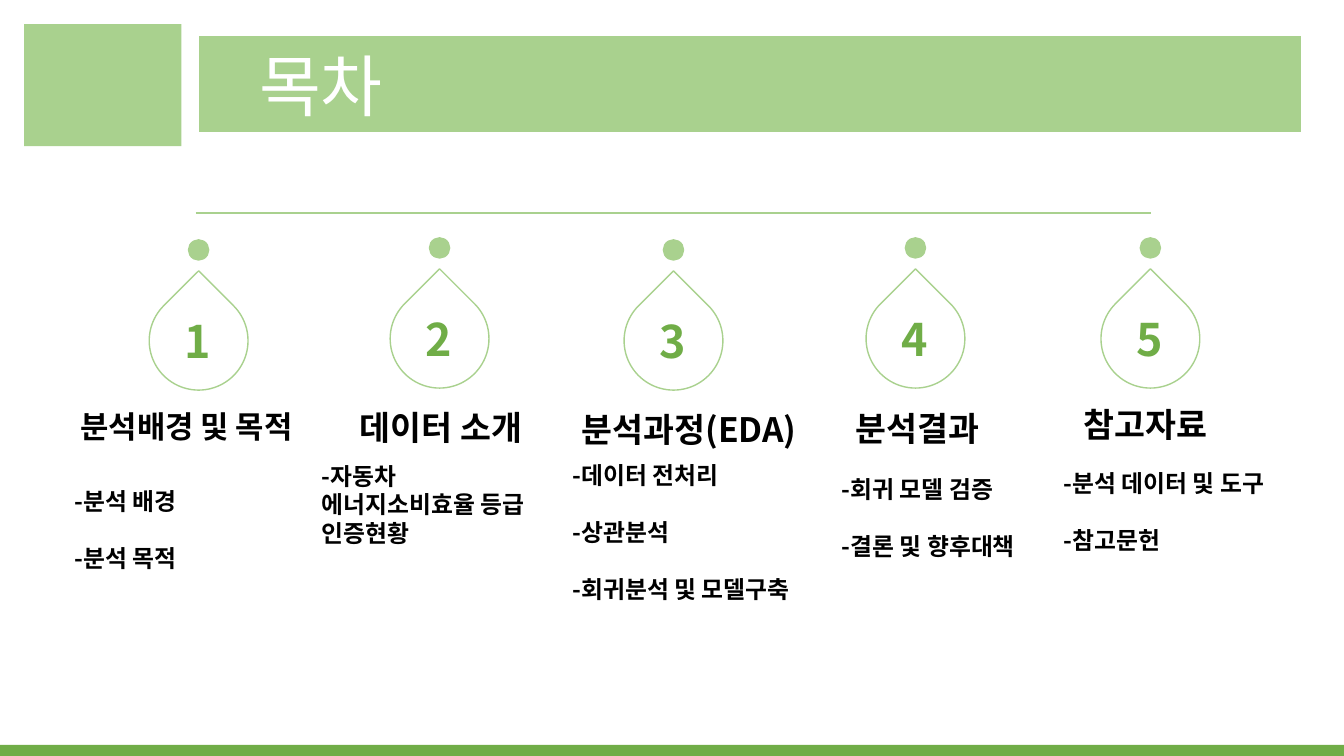
from collections import namedtuple

from lxml import etree
from pptx import Presentation
from pptx.dml.color import RGBColor
from pptx.enum.shapes import MSO_CONNECTOR, MSO_SHAPE as SHAPE
from pptx.enum.text import MSO_ANCHOR, MSO_AUTO_SIZE, PP_ALIGN
from pptx.oxml.ns import qn
from pptx.util import Inches, Pt

WHITE = RGBColor(0xFF, 0xFF, 0xFF)
BLACK = RGBColor(0, 0, 0)
LIGHT_GREEN = RGBColor(0xA9, 0xD1, 0x8E)
GREEN = RGBColor(0x70, 0xAD, 0x47)
FONT = "Noto Sans CJK KR"
LINE_HEIGHT = 1.2
DROP_SIZE = 0.98

Text = namedtuple("Text", "x y w h size lines wrap", defaults=[False])
Section = namedtuple("Section", "x y heading items")

SECTIONS = [
    Section(1.48, 2.89,
            Text(0.7, 4, 2.58, 0.47, 22, ["분석배경 및 목적"]),
            Text(0.64, 4.78, 1.36, 0.96, 17, ["-분석 배경", "-분석 목적"])),
    Section(3.87, 2.87,
            Text(3.47, 3.99, 2, 0.5, 24, ["데이터 소개"]),
            Text(3.09, 4.53, 2.5, 0.96, 17,
                 ["-자동차 에너지소비효율 등급 인증현황"], True)),
    Section(6.19, 2.89,
            Text(5.67, 4.01, 2.45, 0.5, 24, ["분석과정(EDA)"]),
            Text(5.58, 4.52, 2.6, 1.53, 17,
                 ["-데이터 전처리", "-상관분석", "-회귀분석 및 모델구축"])),
    Section(8.59, 2.87,
            Text(8.39, 4, 1.55, 0.5, 24, ["분석결과"]),
            Text(8.25, 4.66, 2.14, 0.96, 17,
                 ["-회귀 모델 검증", "-결론 및 향후대책"])),
    Section(10.92, 2.87,
            Text(10.65, 3.96, 1.55, 0.5, 24, ["참고자료"]),
            Text(10.45, 4.6, 2.45, 0.96, 17,
                 ["-분석 데이터 및 도구", "-참고문헌"])),
]


def add_shape(shapes, kind, x, y, w, h, fill=None, line=None):
    """Add a flat preset shape with an optional fill and outline."""
    sp = shapes.add_shape(kind, Inches(x), Inches(y), Inches(w), Inches(h))
    sp.shadow.inherit = False
    if fill is None:
        sp.fill.background()
    else:
        sp.fill.solid()
        sp.fill.fore_color.rgb = fill
    if line is None:
        sp.line.fill.background()
    else:
        sp.line.color.rgb = line
        sp.line.width = Pt(1)
    return sp


def format_paragraph(p, size, color, bold):
    """Set the alignment, line height and font of a paragraph."""
    p.alignment = PP_ALIGN.LEFT
    p.line_spacing = Pt(size * LINE_HEIGHT)
    for r in p.runs:
        r.font.name = FONT
        r.font.size = Pt(size)
        r.font.bold = bold
        r.font.color.rgb = color
        etree.SubElement(r._r.get_or_add_rPr(), qn("a:ea"), typeface=FONT)


def add_text(shapes, text, color=BLACK):
    """Add a bold text box with one line of space between its paragraphs."""
    sp = shapes.add_textbox(Inches(text.x), Inches(text.y),
                            Inches(text.w), Inches(text.h))
    tf = sp.text_frame
    tf.word_wrap = text.wrap
    tf.auto_size = MSO_AUTO_SIZE.SHAPE_TO_FIT_TEXT
    tf.text = "\n".join(text.lines)
    for i, p in enumerate(tf.paragraphs):
        format_paragraph(p, text.size, color, True)
        if i:
            p.space_before = Pt(text.size * LINE_HEIGHT)


def add_header(shapes, x, y, w, h):
    """Draw the title bar and the block to its left."""
    bar = add_shape(shapes, SHAPE.FLOWCHART_PROCESS, x, y, w, h, LIGHT_GREEN)
    tf = bar.text_frame
    tf.vertical_anchor = MSO_ANCHOR.MIDDLE
    tf.margin_left = Inches(0.6)
    tf.text = "목차"
    format_paragraph(tf.paragraphs[0], 48, WHITE, False)
    add_shape(shapes, SHAPE.RECTANGLE, x - 1.73, y - 0.12, 1.56, 1.21, LIGHT_GREEN)


def add_timeline(shapes, x, y, w):
    """Draw the horizontal line above the sections."""
    line = shapes.add_connector(MSO_CONNECTOR.STRAIGHT, Inches(x), Inches(y),
                                Inches(x + w), Inches(y))
    line.line.color.rgb = LIGHT_GREEN
    line.line.width = Pt(1.5)
    etree.SubElement(line._element.spPr, qn("a:effectLst"))


def add_section(shapes, number, section):
    """Draw a numbered drop with its dot, heading and items."""
    x, y = section.x, section.y
    marker = shapes.add_group_shape().shapes
    add_shape(marker, SHAPE.OVAL, x + 0.39, y - 0.51, 0.2, 0.2,
              LIGHT_GREEN, LIGHT_GREEN)
    drop = add_shape(marker, SHAPE.TEAR, x, y, DROP_SIZE, DROP_SIZE,
                     line=LIGHT_GREEN)
    drop.rotation = 315
    add_text(shapes, Text(x + 0.25, y + 0.17, 0.47, 0.64, 32, [str(number)]), GREEN)
    add_text(shapes, section.heading)
    add_text(shapes, section.items)


def main():
    """Build the contents slide and save it."""
    prs = Presentation()
    prs.slide_width, prs.slide_height = Inches(13.33), Inches(7.5)
    s = prs.slides.add_slide(prs.slide_layouts[6])
    add_header(s.shapes, 1.97, 0.36, 10.93, 0.95)
    add_timeline(s.shapes, 1.94, 2.11, 9.48)
    for number, section in enumerate(SECTIONS, 1):
        add_section(s.shapes, number, section)
    add_shape(s.shapes, SHAPE.RECTANGLE, 0, 7.39, 13.33, 0.11, GREEN)
    prs.save("out.pptx")


if __name__ == "__main__":
    main()
